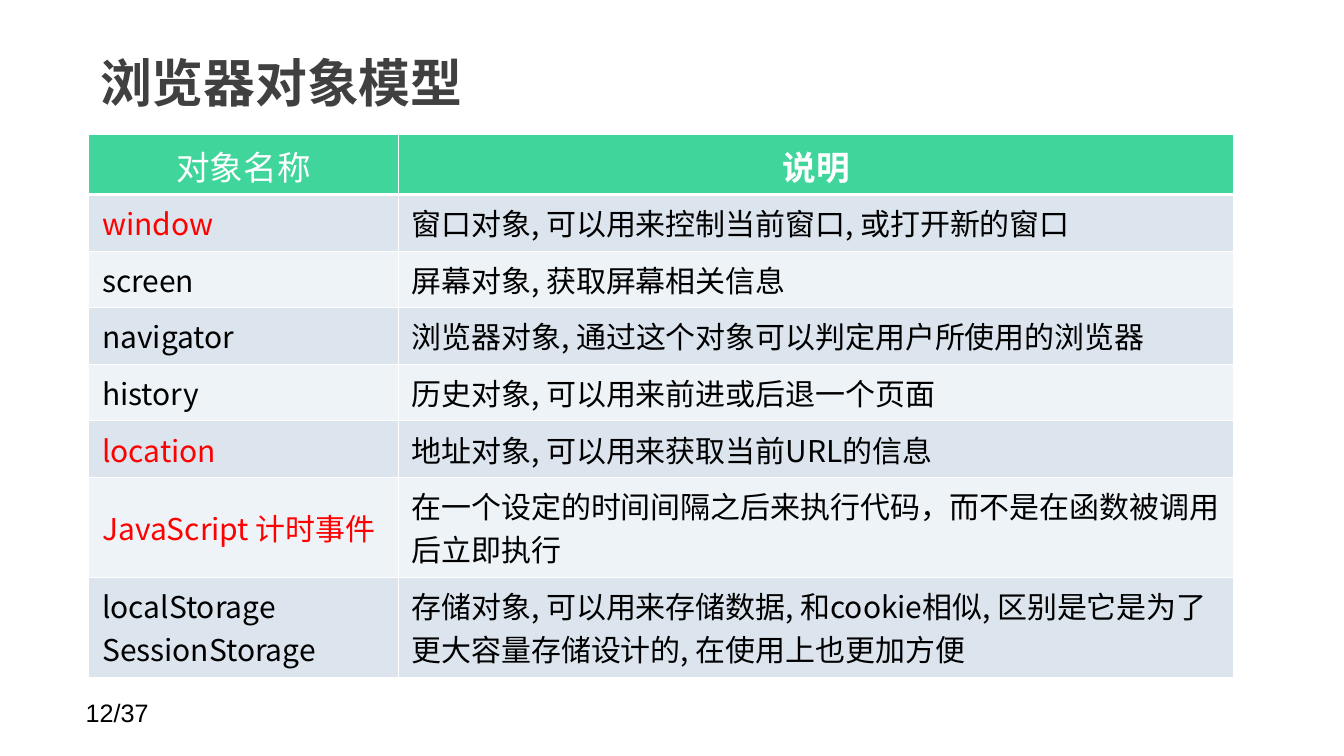
from lxml.etree import SubElement
from pptx import Presentation
from pptx.dml.color import RGBColor
from pptx.enum.text import MSO_ANCHOR, PP_ALIGN
from pptx.oxml import parse_xml
from pptx.oxml.ns import nsdecls, qn
from pptx.util import Pt

CJK = "Noto Sans CJK SC"
WHITE = RGBColor(0xFF, 0xFF, 0xFF)
BLACK = RGBColor(0, 0, 0)
RED = RGBColor(0xFF, 0, 0)
GREY = RGBColor(0x40, 0x40, 0x40)
GREEN = RGBColor(0x40, 0xD5, 0x9B)
BANDS = [RGBColor(0xDC, 0xE5, 0xEE), RGBColor(0xEE, 0xF3, 0xF7)]

TITLE = "浏览器对象模型"
PAGE = "12/37"
HEADER = ("对象名称", "说明")
OBJECTS = [
    ("window", "窗口对象, 可以用来控制当前窗口, 或打开新的窗口"),
    ("screen", "屏幕对象, 获取屏幕相关信息"),
    ("navigator", "浏览器对象, 通过这个对象可以判定用户所使用的浏览器"),
    ("history", "历史对象, 可以用来前进或后退一个页面"),
    ("location", "地址对象, 可以用来获取当前URL的信息"),
    ("JavaScript 计时事件",
     "在一个设定的时间间隔之后来执行代码，而不是在函数被调用后立即执行"),
    ("localStorage\nSessionStorage",
     "存储对象, 可以用来存储数据, 和cookie相似, 区别是它是为了更大容量存储设计的, 在使用上也更加方便"),
]
HIGHLIGHTED = {"window", "location", "JavaScript 计时事件"}
COLUMN_WIDTHS = (221, 597)
ROW_HEIGHTS = [43] + [40.4] * 5 + [71.4] * 2


def set_font(paragraph, size, color, bold=False, name=CJK):
    """Format a paragraph, for Latin and East Asian letters alike."""
    font = paragraph.font
    font.size, font.bold = Pt(size), bold
    font.color.rgb = color
    font.name = name
    properties = paragraph._p.get_or_add_pPr().get_or_add_defRPr()
    SubElement(properties, qn("a:ea")).set("typeface", name)


def add_borders(cell, bottom):
    properties = cell._tc.get_or_add_tcPr()
    widths = {"lnL": 1, "lnR": 1, "lnT": 1, "lnB": bottom}
    for position, (side, width) in enumerate(widths.items()):
        properties.insert(position, parse_xml(
            f'<a:{side} {nsdecls("a")} w="{Pt(width)}"><a:solidFill>'
            f'<a:srgbClr val="{WHITE}"/></a:solidFill></a:{side}>'))


def fill_cell(cell, text, background, bottom=1):
    cell.text = text
    cell.margin_left = cell.margin_right = Pt(9.6)
    cell.margin_top = cell.margin_bottom = Pt(4.8)
    cell.fill.solid()
    cell.fill.fore_color.rgb = background
    add_borders(cell, bottom)


def add_title(slide):
    title = slide.shapes.title
    title.left, title.top, title.width, title.height = Pt(62), Pt(21.6), Pt(749.5), Pt(74)
    frame = title.text_frame
    frame.text = TITLE
    frame.vertical_anchor = MSO_ANCHOR.MIDDLE
    frame.margin_left = frame.margin_right = Pt(9.6)
    frame.margin_top = frame.margin_bottom = Pt(4.8)
    frame.paragraphs[0].alignment = PP_ALIGN.LEFT
    set_font(frame.paragraphs[0], 37, GREY, bold=True)


def add_object_table(slide):
    table = slide.shapes.add_table(
        len(ROW_HEIGHTS), len(COLUMN_WIDTHS), Pt(63.5), Pt(96),
        Pt(sum(COLUMN_WIDTHS)), Pt(sum(ROW_HEIGHTS))).table
    for column, width in zip(table.columns, COLUMN_WIDTHS):
        column.width = Pt(width)
    for row, height in zip(table.rows, ROW_HEIGHTS):
        row.height = Pt(height)

    for column, heading in enumerate(HEADER):
        cell = table.cell(0, column)
        fill_cell(cell, heading, GREEN, bottom=3)
        paragraph = cell.text_frame.paragraphs[0]
        paragraph.alignment = PP_ALIGN.CENTER
        paragraph.space_before = Pt(4.8)
        set_font(paragraph, 24, WHITE, bold=column == 1)

    for index, entry in enumerate(OBJECTS):
        for column, text in enumerate(entry):
            cell = table.cell(index + 1, column)
            fill_cell(cell, text, BANDS[index % 2])
            cell.vertical_anchor = MSO_ANCHOR.MIDDLE
            for paragraph in cell.text_frame.paragraphs:
                set_font(paragraph, 21.4, RED if text in HIGHLIGHTED else BLACK)


def add_page_number(slide):
    frame = slide.shapes.add_textbox(Pt(54), Pt(494.6), Pt(168), Pt(29)).text_frame
    frame.word_wrap = True
    frame.text = PAGE
    set_font(frame.paragraphs[0], 18, BLACK, name="Arial")


def main():
    deck = Presentation()
    deck.slide_width, deck.slide_height = Pt(960), Pt(540)
    slide = deck.slides.add_slide(deck.slide_layouts[5])
    add_page_number(slide)
    add_title(slide)
    add_object_table(slide)
    deck.save("out.pptx")


if __name__ == "__main__":
    main()
